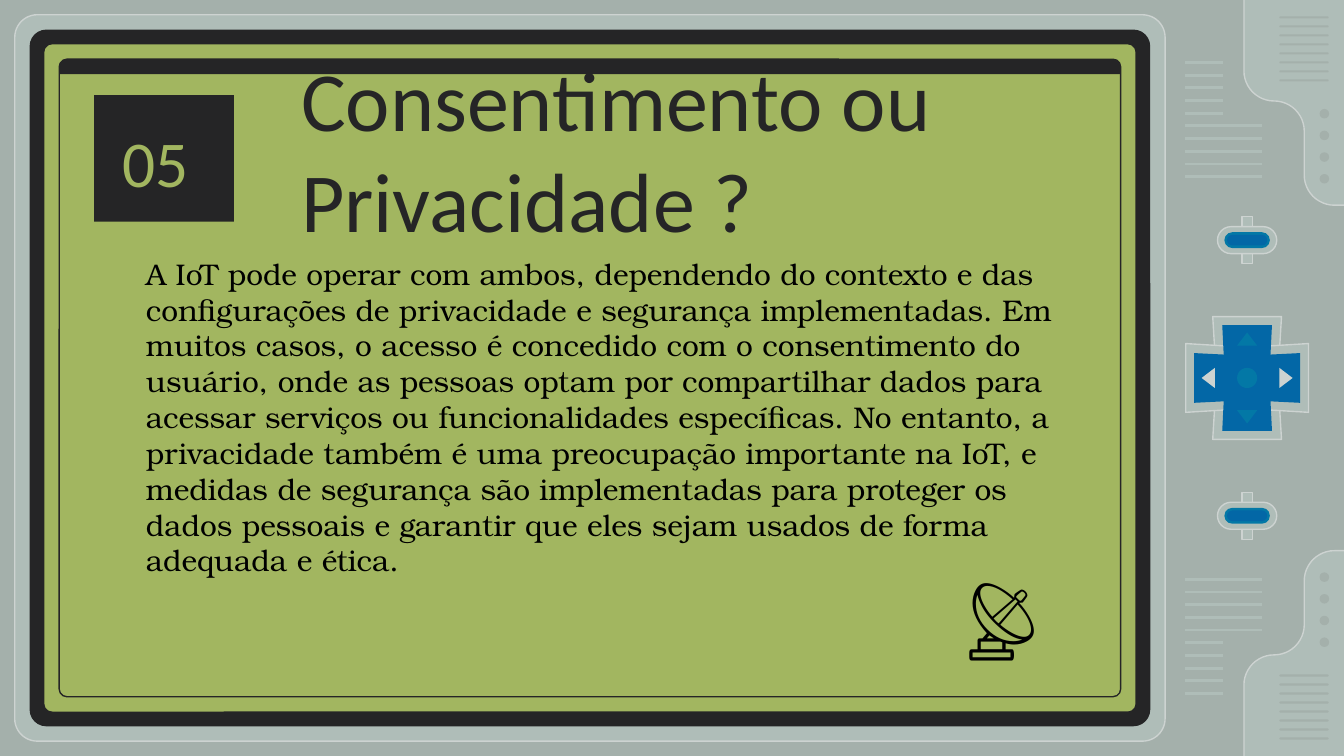
from math import cos, radians, sin

from lxml.etree import SubElement
from pptx import Presentation
from pptx.dml.color import RGBColor
from pptx.enum.shapes import MSO_CONNECTOR, MSO_SHAPE
from pptx.enum.text import MSO_ANCHOR, MSO_AUTO_SIZE, PP_ALIGN
from pptx.oxml.ns import qn
from pptx.util import Cm, Pt

WIDTH, HEIGHT = 25.4, 14.29
CASE, PANEL, EDGE = "A4B0AB", "AFBDB8", "CDD3D1"
DARK, SCREEN = "252526", "A2B660"
BLUE, TEAL = "0367A6", "0378A6"
PAD_X, PAD_Y = 23.57, HEIGHT / 2

BODY = (
    "A IoT pode operar com ambos, dependendo do contexto e das configurações de "
    "privacidade e segurança implementadas. Em muitos casos, o acesso é concedido "
    "com o consentimento do usuário, onde as pessoas optam por compartilhar dados "
    "para acessar serviços ou funcionalidades específicas. No entanto, a privacidade "
    "também é uma preocupação importante na IoT, e medidas de segurança são "
    "implementadas para proteger os dados pessoais e garantir que eles sejam usados "
    "de forma adequada e ética."
)


def color(hex_code):
    return RGBColor.from_string(hex_code)


def paint(shape, fill=None, line=None):
    shape.shadow.inherit = False
    if fill:
        shape.fill.solid()
        shape.fill.fore_color.rgb = color(fill)
    else:
        shape.fill.background()
    if line:
        shape.line.color.rgb = color(line)
        shape.line.width = Pt(0.75)
    else:
        shape.line.fill.background()


def add_preset(slide, kind, left, top, width, height, fill=None, line=None, adjust=()):
    preset = slide.shapes.add_shape(kind, Cm(left), Cm(top), Cm(width), Cm(height))
    for index, value in enumerate(adjust):
        preset.adjustments[index] = value
    paint(preset, fill, line)


def add_outline(slide, points, fill, line=None):
    corners = [(Cm(x), Cm(y)) for x, y in points]
    builder = slide.shapes.build_freeform(*corners[0])
    builder.add_line_segments(corners[1:], close=True)
    paint(builder.convert_to_shape(), fill, line)


def add_rule(slide, left, right, y):
    rule = slide.shapes.add_connector(
        MSO_CONNECTOR.STRAIGHT, Cm(left), Cm(y), Cm(right), Cm(y))
    rule.line.color.rgb = color(PANEL)
    rule.line.width = Pt(1.5)
    SubElement(rule._element.spPr, qn("a:effectLst"))


def write(frame, text, size, font, ink, align=PP_ALIGN.LEFT,
          anchor=MSO_ANCHOR.TOP, inset=0.13, top_inset=None):
    frame.word_wrap = True
    frame.auto_size = MSO_AUTO_SIZE.NONE
    frame.vertical_anchor = anchor
    frame.margin_left = frame.margin_right = Cm(0.25)
    frame.margin_bottom = Cm(inset)
    frame.margin_top = Cm(inset if top_inset is None else top_inset)
    paragraph = frame.paragraphs[0]
    paragraph.alignment = align
    run = paragraph.add_run()
    run.text = text
    run.font.size = Pt(size)
    run.font.name = font
    run.font.color.rgb = color(ink)


def add_text(slide, left, top, width, height, text, **style):
    box = slide.shapes.add_textbox(Cm(left), Cm(top), Cm(width), Cm(height))
    write(box.text_frame, text, **style)


def add_title(slide, text):
    title = slide.shapes.title
    title.left, title.top, title.width, title.height = Cm(5.44), Cm(1.63), Cm(14.45), Cm(2.36)
    write(title.text_frame, text, size=45, font="Calibri", ink=DARK,
          anchor=MSO_ANCHOR.MIDDLE, inset=0.25)
    # Bring the title in front of the screen
    slide.shapes._spTree.append(title._element)


def add_screen(slide):
    """Nested frames, each one step further in, and the bar of the window."""
    step = 0.28
    frames = [(PANEL, EDGE, 0.031), (DARK, None, 0.024),
              (SCREEN, None, 0.012), (None, DARK, 0.012)]
    for level, (fill, line, rounding) in enumerate(frames, start=1):
        inset = step * level
        add_preset(slide, MSO_SHAPE.ROUNDED_RECTANGLE, inset, inset,
                   22.3 - 2 * inset, HEIGHT - 2 * inset, fill, line, [rounding])
    add_preset(slide, MSO_SHAPE.ROUND_2_SAME_RECTANGLE, inset, inset,
               22.3 - 2 * inset, step, DARK, adjust=[0.5, 0])


def arc(x, y, radius, start, end):
    angles = [radians(start + (end - start) * i / 12) for i in range(13)]
    return [(x + radius * cos(a), y + radius * sin(a)) for a in angles]


def add_corner(slide, flipped):
    """Side panel, grille, dots and vents of the lower corner, or their mirror above."""
    def place(y, height=0.0):
        return HEIGHT - y - height if flipped else y

    radius = 0.57
    outline = [(25.48, 10.41), (25.48, 14.35), (23.51, 14.35),
               *arc(24.08, 12.95, radius, 180, 270),
               *arc(24.08, 11.81, radius, 90, 0),
               *arc(25.22, 10.98, radius, 180, 270)]
    add_outline(slide, [(x, place(y)) for x, y in outline], PANEL, EDGE)
    for i in range(8):
        add_preset(slide, MSO_SHAPE.ROUNDED_RECTANGLE, 24.18,
                   place(12.75 + 0.17 * i, 0.04), 0.93, 0.04, CASE, adjust=[0.5])
    for i in range(4):
        add_preset(slide, MSO_SHAPE.OVAL, 24.94,
                   place(10.82 + 0.41 * i, 0.18), 0.18, 0.18, CASE)
    for i in range(10):
        add_rule(slide, 22.4, 23.85 if i < 5 else 23.11, place(10.95 + 0.24 * i))


def add_button(slide, y):
    layers = [(MSO_SHAPE.RECTANGLE, 0.2, 0.89, PANEL, EDGE),
              (MSO_SHAPE.ROUNDED_RECTANGLE, 1.12, 0.51, PANEL, EDGE),
              (MSO_SHAPE.ROUNDED_RECTANGLE, 0.86, 0.3, TEAL, None),
              (MSO_SHAPE.ROUNDED_RECTANGLE, 0.76, 0.2, BLUE, None)]
    for kind, width, height, fill, line in layers:
        rounding = [0.5] if kind == MSO_SHAPE.ROUNDED_RECTANGLE else []
        add_preset(slide, kind, PAD_X - width / 2, y - height / 2,
                   width, height, fill, line, rounding)


def add_pad_part(slide, offsets, upright, fill, line=None):
    """Draw offsets (along, across) from the centre of the direction pad."""
    points = [(PAD_X + across, PAD_Y + along) if upright
              else (PAD_X + along, PAD_Y + across) for along, across in offsets]
    add_outline(slide, points, fill, line)


def add_direction_pad(slide):
    for reach, end, waist, fill, line in [(1.16, 0.65, 0.58, PANEL, EDGE),
                                          (1.0, 0.47, 0.42, BLUE, None)]:
        arms = [(-reach, -end), (0, -waist), (reach, -end),
                (reach, end), (0, waist), (-reach, end)]
        for upright in (True, False):
            add_pad_part(slide, arms, upright, fill, line)
    for upright, fill in [(False, EDGE), (True, TEAL)]:
        for side in (1, -1):
            arrow = [(0.86 * side, 0), (0.61 * side, 0.19), (0.61 * side, -0.19)]
            add_pad_part(slide, arrow, upright, fill)
    add_preset(slide, MSO_SHAPE.OVAL, PAD_X - 0.19, PAD_Y - 0.19, 0.38, 0.38, TEAL)


def main():
    deck = Presentation()
    deck.slide_width, deck.slide_height = Cm(WIDTH), Cm(HEIGHT)
    slide = deck.slides.add_slide(deck.slide_layouts[5])
    slide.background.fill.solid()
    slide.background.fill.fore_color.rgb = color(CASE)

    add_screen(slide)
    for flipped in (True, False):
        add_corner(slide, flipped)
    add_preset(slide, MSO_SHAPE.RECTANGLE, 1.78, 1.8, 2.64, 2.39, DARK)
    add_title(slide, "Consentimento ou Privacidade ?")
    add_text(slide, 1.45, 1.63, 2.97, 2.36, "05", size=35, font="Calibri", ink=SCREEN,
             align=PP_ALIGN.CENTER, anchor=MSO_ANCHOR.MIDDLE, inset=0.25, top_inset=0.74)
    for y in (4.54, HEIGHT - 4.54):
        add_button(slide, y)
    add_direction_pad(slide)
    add_text(slide, 2.51, 4.7, 17.86, 6.4, BODY, size=16, font="TeX Gyre Bonum", ink="000000")
    add_text(slide, 18.01, 10.54, 1.88, 2.13, "📡", size=44, font="Karla", ink="000000")
    deck.save("out.pptx")


if __name__ == "__main__":
    main()
